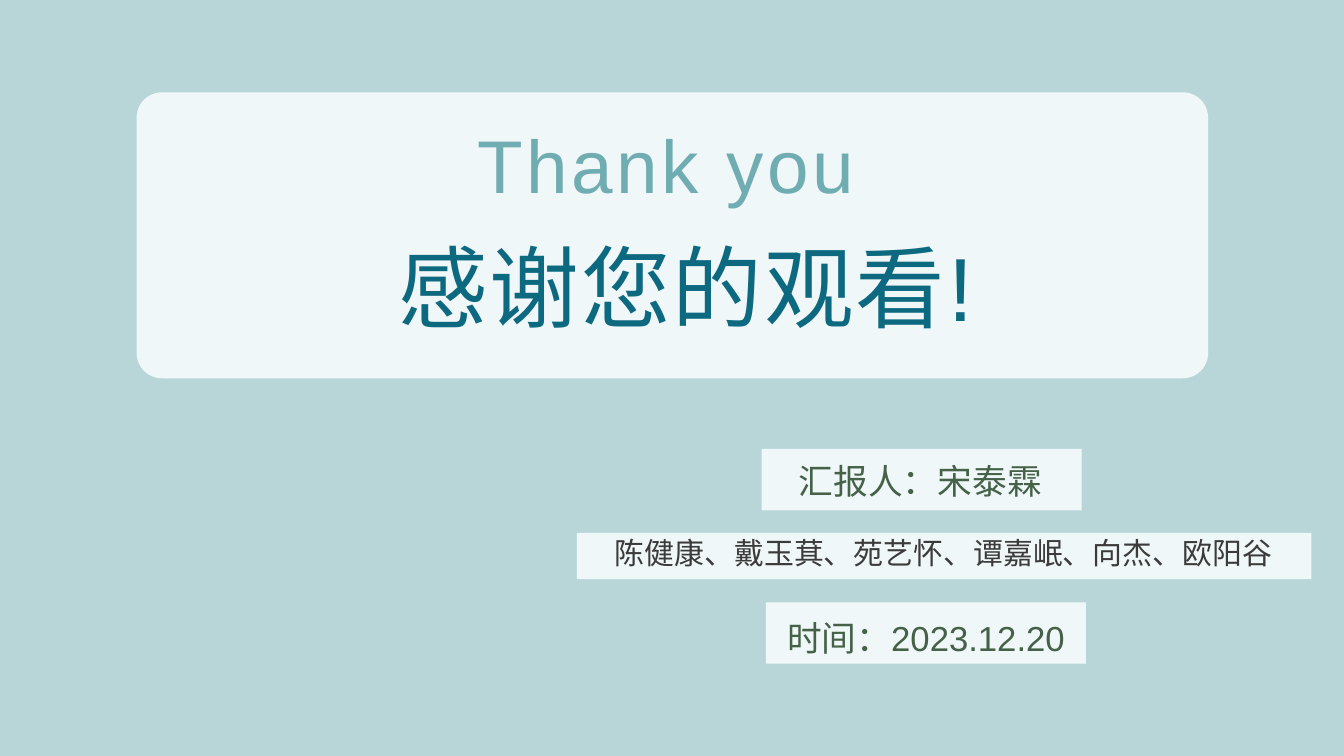
from pptx import Presentation
from pptx.dml.color import RGBColor
from pptx.enum import shapes, text
from pptx.util import Pt

BACKGROUND = "B8D6D8"
PANEL = "F0F7F8"
CARD = (146.4, 98.9, 1148, 306.4)
CARD_RADIUS = 27

TITLE = dict(words="感谢您的观看!", at=(146.2, 256.3, 1176.5, 108.7),
             size=96, leading=107.5, color="0C6980", tracking=220)
THANKS = dict(words="Thank you ", at=(183.6, 110.9, 1085.8, 113),
              size=80, leading=112, color="70ADB2", tracking=380)

LABELS = [
    ((816, 481, 343, 65.8),
     dict(words="汇报人：宋泰霖", at=(831.6, 485.3, 308.9, 48.2),
          size=37.2, leading=52.1, color="456148")),
    ((820.6, 645.3, 343, 65.8),
     dict(words="时间：2023.12.20", at=(835.2, 653.8, 313.9, 48.2),
          size=37.2, leading=52.1, color="456148")),
    ((618, 571, 787, 49.5),
     dict(words="陈健康、戴玉萁、苑艺怀、谭嘉岷、向杰、欧阳谷",
          at=(656.6, 566.6, 709.2, 116.6),
          size=32, leading=44.8, color="3B3B3B")),
]


def paint(fill, color):
    fill.solid()
    fill.fore_color.rgb = RGBColor.from_string(color)


def add_panel(slide, kind, at):
    panel = slide.shapes.add_shape(kind, *map(Pt, at))
    panel.shadow.inherit = False
    paint(panel.fill, PANEL)
    panel.line.fill.background()
    return panel


def write(box, words, at, size, leading, color, tracking=0):
    box.left, box.top, box.width, box.height = map(Pt, at)
    frame = box.text_frame
    frame.text = words
    frame.word_wrap = True
    frame.auto_size = text.MSO_AUTO_SIZE.NONE
    frame.vertical_anchor = text.MSO_ANCHOR.TOP
    frame.margin_left = frame.margin_right = 0
    frame.margin_top = frame.margin_bottom = 0
    para = frame.paragraphs[0]
    para.alignment = text.PP_ALIGN.CENTER
    para.line_spacing = Pt(leading)
    para.space_before = Pt(0)
    span = para.runs[0]
    span.font.name = "Arial"
    span.font.size = Pt(size)
    paint(span.font.fill, color)
    if tracking:
        span.font._element.set("spc", str(tracking))


def main():
    deck = Presentation()
    deck.slide_width, deck.slide_height = Pt(1440), Pt(810)
    slide = deck.slides.add_slide(deck.slide_layouts[0])
    paint(slide.background.fill, BACKGROUND)

    card = add_panel(slide, shapes.MSO_SHAPE.ROUNDED_RECTANGLE, CARD)
    card.adjustments[0] = CARD_RADIUS / CARD[3]
    slide.shapes._spTree.insert(2, card._element)
    write(slide.shapes.title, **TITLE)
    write(slide.placeholders[1], **THANKS)

    for panel_at, label in LABELS:
        add_panel(slide, shapes.MSO_SHAPE.RECTANGLE, panel_at)
        box = slide.shapes.add_textbox(*map(Pt, label["at"]))
        write(box, **label)

    deck.save("out.pptx")


if __name__ == "__main__":
    main()
